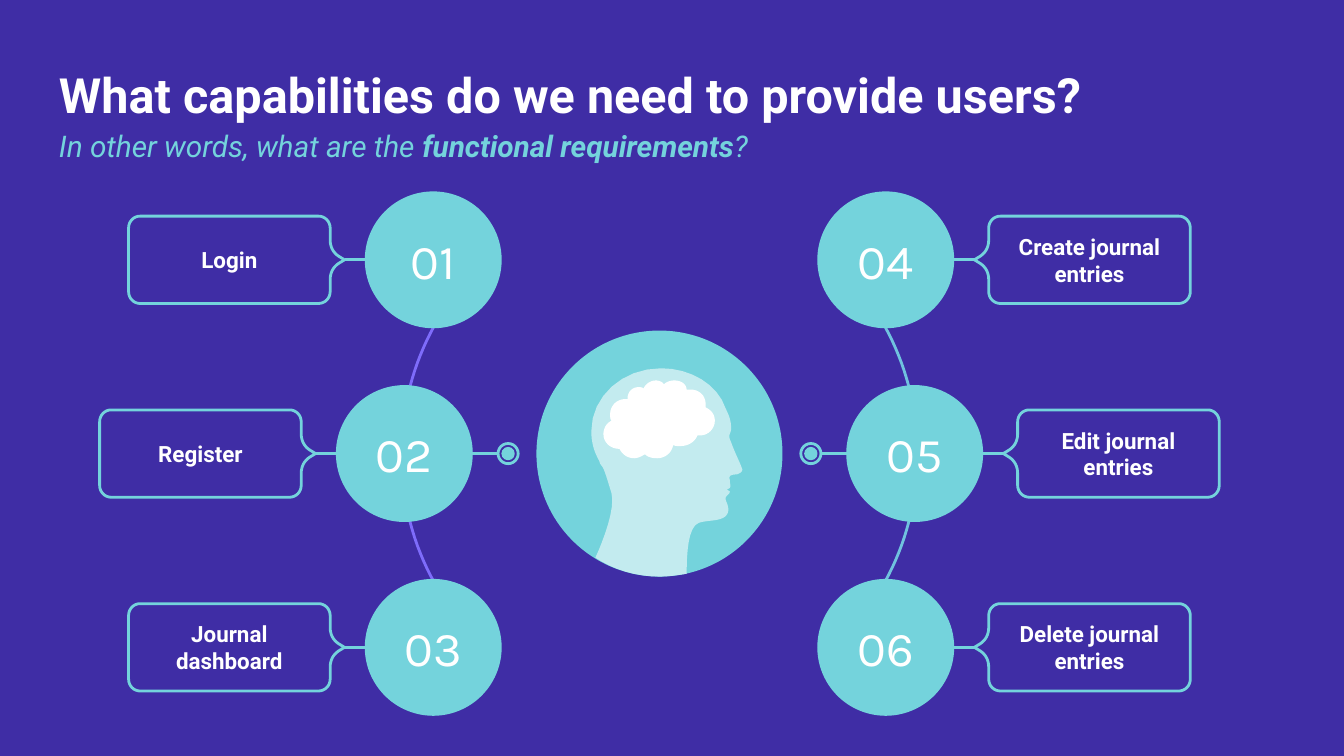
import lxml.etree
import pptx
import pptx.dml.color
import pptx.enum.shapes
import pptx.enum.text
import pptx.oxml.ns
import pptx.util

Pt = pptx.util.Pt
ALIGN = pptx.enum.text.PP_ALIGN
ANCHOR = pptx.enum.text.MSO_ANCHOR
OVAL = pptx.enum.shapes.MSO_SHAPE.OVAL

PURPLE, AQUA, PALE, WHITE = "3F2DA5", "74D3DC", "C3EBEF", "FFFFFF"
VIOLET, BLUE = "7E6CFB", "70C2DF"
AXIS, MIDDLE, ROW_STEP = 353.3, 243, 103.8
NODE_OFFSETS = (121.2, 136.7, 121.2)
NODE_RADIUS, RING_RADIUS, DOT_RADIUS, HUB_RADIUS = 36.3, 5.4, 3.2, 65.9
TIP, BODY_LEFT, BODY_RIGHT, BODY_HALF = 47.5, 55.2, 163.2, 23.4

SIDES = [
    (-1, VIOLET, [("01", "Login"), ("02", "Register"), ("03", "Journal dashboard")]),
    (1, BLUE, [("04", "Create journal entries"), ("05", "Edit journal entries"),
               ("06", "Delete journal entries")]),
]

HEAD = [
    (333.4, 197.3, 316.8, 212.4, 316.8, 231.1),
    (316.8, 236.9, 318.2, 241.9, 321.1, 247),
    (321.1, 247.7, 321.8, 249.1, 322.6, 249.8),
    (324, 252, 325.4, 257, 327.6, 264.2),
    (329.8, 272.2, 323.3, 289.4, 319, 298.8),
    (329, 305.3, 340.6, 308.9, 353.5, 308.9),
    (357.8, 308.9, 362.9, 308.2, 367.9, 307.4),
    (367.9, 296.6, 368.6, 282.2, 374.4, 280.1),
    (378.7, 278.6, 385.9, 279.4, 388.8, 276.5),
    (391.7, 273.6, 389.5, 270, 388.8, 267.8),
    (388.1, 265.7, 391, 265, 391, 263.5),
    (391, 262.8, 389.5, 262.8, 389.5, 262.1),
    (389.5, 262.1, 390.2, 262.1, 391, 261.4),
    (391.7, 260.6, 391, 259.2, 391, 257),
    (390.2, 254.9, 391.7, 254.2, 394.6, 254.2),
    (397.4, 253.4, 398.2, 252, 397.4, 250.6),
    (396.7, 248.4, 393.1, 241.2, 391.7, 236.9),
    (389.5, 232.6, 391.7, 232.6, 391.7, 229.7),
    (391.7, 227.5, 391.7, 224.6, 388.8, 218.9),
    (384.5, 205.9, 370.1, 197.3, 354.2, 197.3),
]
BRAIN = [
    (359.3, 203.8, 357.1, 204.5, 355.7, 205.9),
    (355, 204.5, 352.8, 203.8, 351.4, 203.8),
    (348.5, 203.8, 345.6, 205.9, 344.9, 208.1),
    (344.2, 207.4, 342.7, 207.4, 342, 207.4),
    (339.1, 207.4, 336.2, 209.5, 336.2, 213.8),
    (336.2, 213.8, 335.5, 213.8, 334.8, 213.8),
    (330.5, 213.8, 326.9, 217.4, 326.9, 221.8),
    (326.9, 223.2, 326.9, 224.6, 327.6, 225.4),
    (324.7, 226.8, 323.3, 229.7, 323.3, 232.6),
    (323.3, 236.9, 326.9, 240.5, 331.9, 240.5),
    (333.4, 243.4, 336.2, 245.5, 339.8, 245.5),
    (342, 245.5, 344.2, 244.1, 345.6, 243.4),
    (347, 244.8, 349.2, 245.5, 352.1, 245.5),
    (356.4, 245.5, 360, 242.6, 360.7, 238.3),
    (361.4, 239, 362.9, 239, 364.3, 239),
    (368.6, 239, 372.2, 236.9, 373.7, 233.3),
    (373.7, 233.3, 374.4, 233.3, 375.1, 233.3),
    (379.4, 233.3, 383, 229.7, 383, 225.4),
    (383, 221.8, 380.9, 219.6, 378, 218.2),
    (378.7, 213.1, 375.8, 209.5, 371.5, 208.8),
    (370.8, 208.8, 369.4, 208.8, 367.9, 208.8),
    (367.9, 205.9, 365, 203.8, 361.4, 203.8),
]


def rgb(value):
    """Turn a hex string into a colour."""
    return pptx.dml.color.RGBColor.from_string(value)


def style(sp, fill=None, line=None, width=1.5):
    """Set the fill and line of a shape and drop its shadow."""
    sp.shadow.inherit = False
    if fill:
        sp.fill.solid()
        sp.fill.fore_color.rgb = rgb(fill)
    else:
        sp.fill.background()
    if line:
        sp.line.color.rgb = rgb(line)
        sp.line.width = Pt(width)
    else:
        sp.line.fill.background()


def write(sp, *runs, size=12, font="Roboto", color=WHITE, bold=False, italic=False,
          align=ALIGN.CENTER, anchor=ANCHOR.MIDDLE, spacing=1.0):
    """Write runs, given as text or (text, bold) pairs, into a shape."""
    tf = sp.text_frame
    tf.word_wrap = True
    tf.vertical_anchor = anchor
    tf.margin_left = tf.margin_right = tf.margin_top = tf.margin_bottom = Pt(7.2)
    p = tf.paragraphs[0]
    p.alignment = align
    p.line_spacing = spacing
    for run in runs:
        text, heavy = (run, bold) if isinstance(run, str) else run
        r = p.add_run()
        r.text = text
        r.font.size, r.font.name = Pt(size), font
        r.font.bold, r.font.italic = heavy, italic
        r.font.color.rgb = rgb(color)


def add_text(s, x, y, w, h, *runs, **fmt):
    """Add a text box."""
    write(s.shapes.add_textbox(Pt(x), Pt(y), Pt(w), Pt(h)), *runs, **fmt)


def add_circle(s, x, y, radius, **look):
    """Add a circle around a centre point."""
    sp = s.shapes.add_shape(OVAL, Pt(x - radius), Pt(y - radius), Pt(2 * radius), Pt(2 * radius))
    style(sp, **look)
    return sp


def add_line(s, x1, x2, y):
    """Add a horizontal aqua line."""
    line = s.shapes.add_connector(pptx.enum.shapes.MSO_CONNECTOR.STRAIGHT,
                                  Pt(x1), Pt(y), Pt(x2), Pt(y))
    line.line.color.rgb = rgb(AQUA)
    line.line.width = Pt(1.5)
    lxml.etree.SubElement(line._element.spPr, pptx.oxml.ns.qn("a:effectLst"))


def curve(start, segments, steps=8):
    """Return points along a chain of cubic curves."""
    points = [start]
    for x1, y1, x2, y2, x3, y3 in segments:
        x0, y0 = points[-1]
        for t in (i / steps for i in range(1, steps + 1)):
            a, b, c, d = (1 - t) ** 3, 3 * t * (1 - t) ** 2, 3 * t * t * (1 - t), t ** 3
            points.append((a * x0 + b * x1 + c * x2 + d * x3, a * y0 + b * y1 + c * y2 + d * y3))
    return points


def add_outline(s, points, close=True, **look):
    """Add a freeform through the points."""
    points = [(Pt(x), Pt(y)) for x, y in points]
    builder = s.shapes.build_freeform(*points[0])
    builder.add_line_segments(points[1:], close=close)
    style(builder.convert_to_shape(), **look)


def add_callout(s, x, y, side, label):
    """Add a rounded label box whose pointer faces the node at x, y."""
    top = [(TIP, 0)]
    top += curve((50.8, -2), [(53.7, -4, BODY_LEFT, -7, BODY_LEFT, -10.6)])
    top += curve((BODY_LEFT, -17), [(BODY_LEFT, -20.6, 58, -BODY_HALF, 61.5, -BODY_HALF)])
    top += curve((157, -BODY_HALF), [(160.4, -BODY_HALF, BODY_RIGHT, -20.6, BODY_RIGHT, -17)])
    bottom = [(dx, -dy) for dx, dy in reversed(top[1:])]
    add_outline(s, [(x + side * dx, y + dy) for dx, dy in top + bottom], line=AQUA)
    center = x + side * (BODY_LEFT + BODY_RIGHT) / 2
    add_text(s, center - 49.3, y - 18, 98.6, 36, label, bold=True)


def add_node(s, x, y, side, number, label):
    """Add a numbered circle with its callout."""
    add_line(s, x + side * NODE_RADIUS, x + side * TIP, y)
    add_callout(s, x, y, side, label)
    sp = add_circle(s, x, y, NODE_RADIUS, fill=AQUA, line=AQUA, width=0.75)
    write(sp, number, size=26, font="Karla")


def add_side(s, side, arc_color, items):
    """Add the arc, the nodes and the ring on one side of the hub."""
    arc = curve((100, -97), [(124, -71, 138.2, -37, 138.2, 0), (138.2, 38, 124, 72, 100, 97)], 24)
    add_outline(s, [(AXIS + side * dx, MIDDLE + dy) for dx, dy in arc],
                close=False, line=arc_color)
    for row, (offset, (number, label)) in enumerate(zip(NODE_OFFSETS, items)):
        add_node(s, AXIS + side * offset, MIDDLE + (row - 1) * ROW_STEP, side, number, label)
    ring = AXIS + side * 81.1
    add_line(s, AXIS + side * (NODE_OFFSETS[1] - NODE_RADIUS), ring + side * RING_RADIUS, MIDDLE)
    add_circle(s, ring, MIDDLE, RING_RADIUS, line=AQUA)
    add_circle(s, ring, MIDDLE, DOT_RADIUS, fill=AQUA, line=AQUA, width=0.75)


def add_hub(s):
    """Add the central circle with the head and brain."""
    add_circle(s, AXIS, MIDDLE, HUB_RADIUS, fill=AQUA)
    for segments, color in ((HEAD, PALE), (BRAIN, WHITE)):
        add_outline(s, curve(segments[-1][-2:], segments), fill=color)


def main():
    """Build the slide and save it."""
    prs = pptx.Presentation()
    prs.slide_width, prs.slide_height = Pt(720), Pt(405)
    s = prs.slides.add_slide(prs.slide_layouts[6])
    s.background.fill.solid()
    s.background.fill.fore_color.rgb = rgb(PURPLE)
    add_text(s, 24.5, 27.4, 671, 45.4, "What capabilities do we need to provide users?",
             size=26, bold=True, align=ALIGN.LEFT, anchor=ANCHOR.TOP)
    add_text(s, 24.5, 64.1, 671, 24.5, "In other words, what are the ",
             ("functional requirements", True), "?", size=16, color=AQUA, italic=True,
             align=ALIGN.LEFT, spacing=1.15)
    add_hub(s)
    for side in SIDES:
        add_side(s, *side)
    prs.save("out.pptx")


if __name__ == "__main__":
    main()
